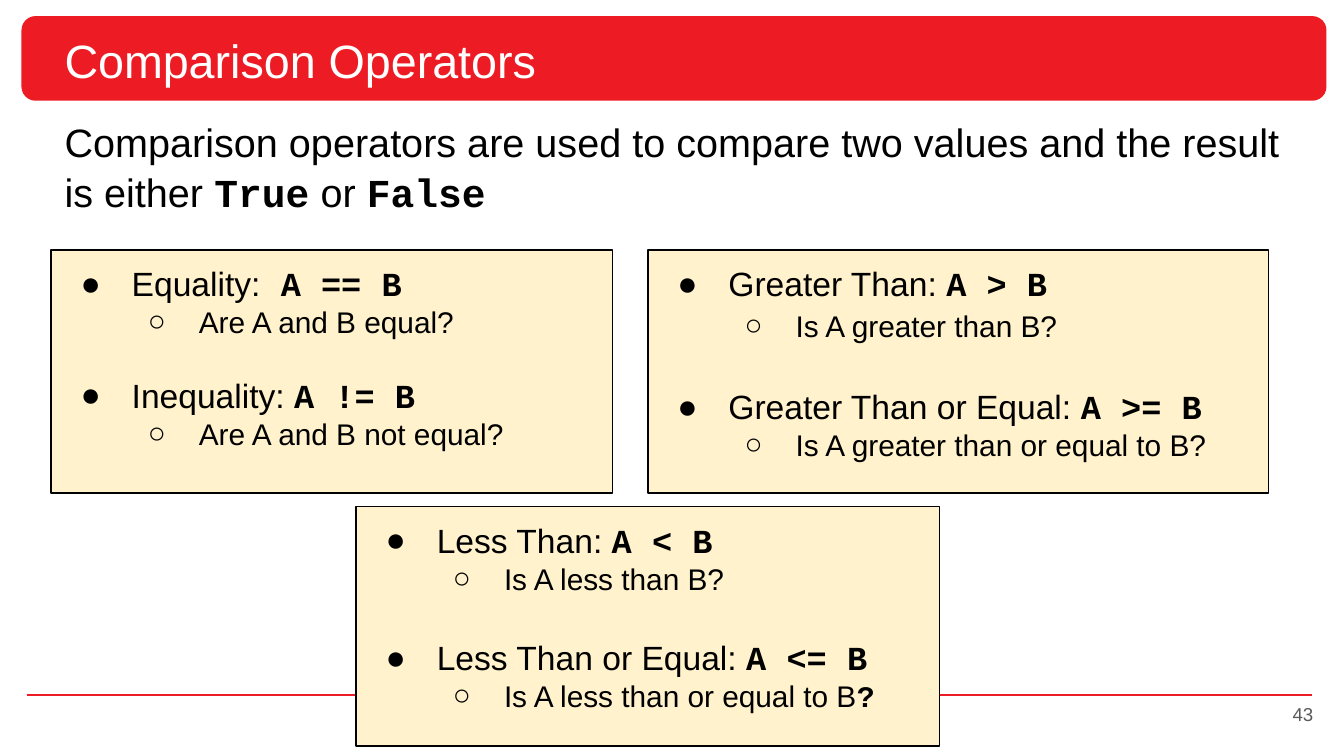
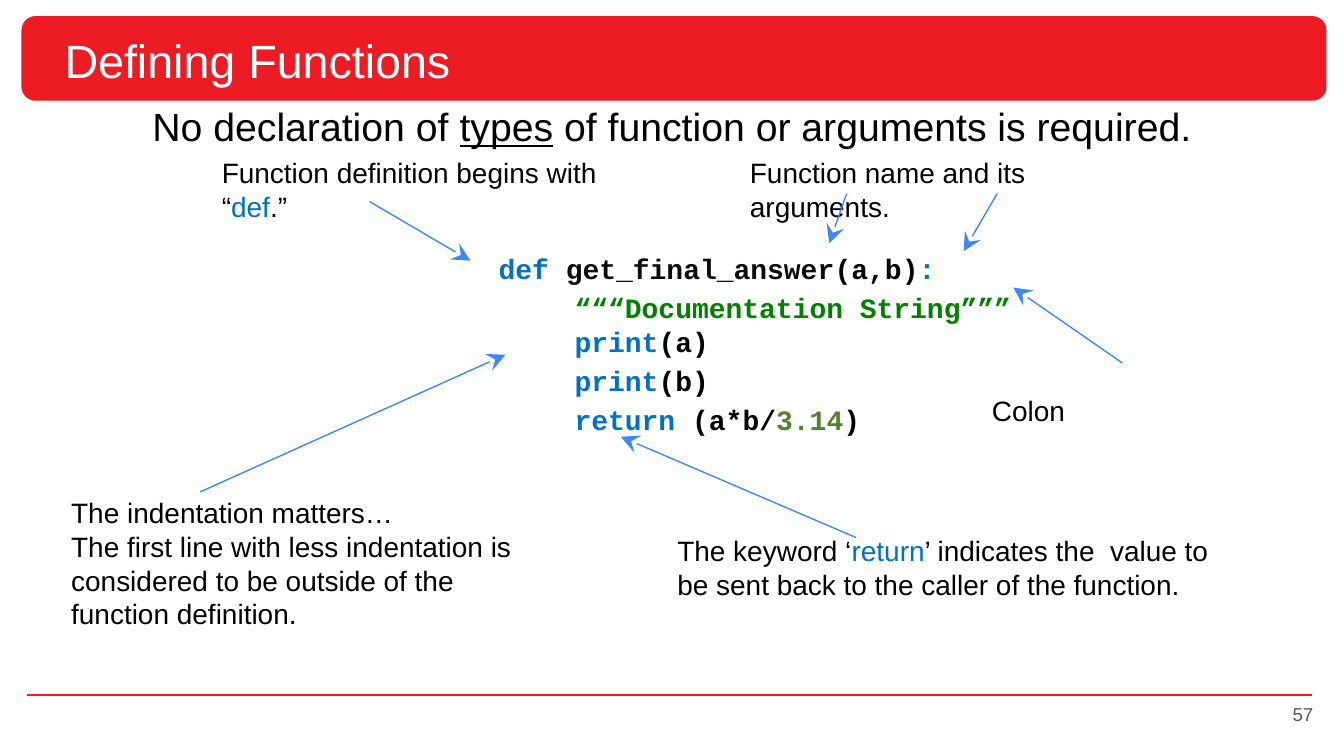
import lxml.etree
import pptx
import pptx.dml.color
import pptx.enum.shapes
import pptx.enum.text
import pptx.oxml.ns
import pptx.util

colour = pptx.dml.color.RGBColor.from_string
qualified = pptx.oxml.ns.qn
Align = pptx.enum.text.PP_ALIGN
Anchor = pptx.enum.text.MSO_ANCHOR

RED, BLACK, WHITE, GREY = "ED1C24", "000000", "FFFFFF", "595959"
CREAM, ARROW_BLUE, KEYWORD_BLUE = "FFF2CC", "4285F4", "0070C0"
CODE = {"face": "Courier New", "bold": True}
KEYWORD = {"ink": KEYWORD_BLUE}
WIDE_INSET, NARROW_INSET = (1, 1), (0.8, 0.4)

presentation = pptx.Presentation()
presentation.slide_width = pptx.util.Inches(10)
presentation.slide_height = presentation.slide_width * 9 // 16
cell = presentation.slide_width // 100


def write(shape, at, paragraphs, inset=WIDE_INSET, anchor=Anchor.TOP, **defaults):
    shape.left, shape.top, shape.width, shape.height = (round(length * cell) for length in at)
    frame = shape.text_frame
    frame.word_wrap = True
    frame.auto_size = pptx.enum.text.MSO_AUTO_SIZE.NONE
    frame.vertical_anchor = anchor
    frame.margin_left = frame.margin_right = round(inset[0] * cell)
    frame.margin_top = frame.margin_bottom = round(inset[1] * cell)
    for number, content in enumerate(paragraphs):
        style = {"size": 15, "ink": BLACK, "face": "Arial", "bold": False, **defaults, **content}
        paragraph = frame.add_paragraph() if number else frame.paragraphs[0]
        properties = paragraph._p.get_or_add_pPr()
        margin, indent = style.get("indent", (0, 0))
        properties.set("marL", str(round(margin * cell)))
        properties.set("indent", str(round(indent * cell)))
        if "bullet" in style:
            lxml.etree.SubElement(properties, qualified("a:buChar"), char=style["bullet"])
        else:
            lxml.etree.SubElement(properties, qualified("a:buNone"))
        paragraph.level = style.get("level", 0)
        paragraph.alignment = style.get("align", Align.LEFT)
        paragraph.line_spacing = style.get("line", 1.0)
        paragraph.space_before = pptx.util.Pt(style.get("before", 0))
        for text, *changes in style["runs"]:
            if text == "\n":
                paragraph.add_line_break()
                continue
            look = {**style, **(changes[0] if changes else {})}
            run = paragraph.add_run()
            run.text = text
            run.font.name = look["face"]
            run.font.size = pptx.util.Pt(look["size"])
            run.font.bold = look["bold"]
            run.font.underline = look.get("underline", False)
            run.font.color.rgb = colour(look["ink"])


def draw_line(slide, points, ink, width, arrow=False):
    connector = slide.shapes.add_connector(
        pptx.enum.shapes.MSO_CONNECTOR.STRAIGHT, *(round(length * cell) for length in points))
    connector.line.color.rgb = colour(ink)
    connector.line.width = pptx.util.Pt(width)
    if arrow:
        outline = connector.line._get_or_add_ln()
        lxml.etree.SubElement(outline, qualified("a:tailEnd"), type="stealth", w="lg", len="lg")
    lxml.etree.SubElement(connector._element.spPr, qualified("a:effectLst"))
    return connector


operators_slide = presentation.slides.add_slide(presentation.slide_layouts[4])
functions_slide = presentation.slides.add_slide(presentation.slide_layouts[1])

rule = draw_line(operators_slide, (2, 51.7, 97.6, 51.7), RED, 1)
band = operators_slide.shapes.add_shape(
    pptx.enum.shapes.MSO_SHAPE.ROUNDED_RECTANGLE,
    *(round(length * cell) for length in (1.6, 1.2, 97.1, 6.3)))
band.shadow.inherit = False
band.fill.solid()
band.fill.fore_color.rgb = colour(RED)
band.line.fill.background()
for number, shape in enumerate((band, rule)):
    shape.element.xpath(".//p:cNvPr")[0].set("id", str(100 + number))
    presentation.slide_master.shapes.element.insert(2, shape.element)

for slide, title, page in (
    (operators_slide, "Comparison Operators", "43"),
    (functions_slide, "Defining Functions", "57"),
):
    write(slide.shapes.title, (3.8, 1.3, 93.2, 6.3), [{"runs": [(title,)]}],
          anchor=Anchor.MIDDLE, size=25, ink=WHITE)
    write(slide.shapes.add_textbox(0, 0, 0, 0), (92.7, 51, 6, 4.3), [{"runs": [(page,)]}],
          anchor=Anchor.MIDDLE, size=10, ink=GREY, align=Align.RIGHT)

write(operators_slide.placeholders[1], (3.8, 7.6, 93.2, 11), [{"runs": [
    ("Comparison operators are used to compare two values and the result is either ",),
    ("True", CODE), (" or ",), ("False", CODE)]}], size=21.2, line=1.05)

operator_boxes = [
    ((3.8, 18.6, 41.8, 18.1), 1.0, 19, [
        ("Equality:", " A == B", [("Are A and B equal?",)]),
        ("Inequality: ", "A != B", [("Are A and B not equal?",)])]),
    ((48.2, 18.6, 46.2, 18.1), 1.1, 21, [
        ("Greater Than: ", "A > B", [("Is A greater than B?",)]),
        ("Greater Than or Equal: ", "A >= B", [("Is A greater than or equal to B?",)])]),
    ((26.5, 37.7, 43.4, 17.8), 1.0, 22, [
        ("Less Than: ", "A < B", [("Is A less than B?",)]),
        ("Less Than or Equal: ", "A <= B", [("Is A less than or equal to B",), ("?", CODE)])]),
]
for index, (at, middle_line, gap, operators) in enumerate(operator_boxes, start=2):
    box = operators_slide.placeholders[index]
    box.fill.solid()
    box.fill.fore_color.rgb = colour(CREAM)
    box.line.color.rgb = colour(BLACK)
    box.line.width = pptx.util.Pt(0.75)
    paragraphs = []
    for number, (name, expression, question) in enumerate(operators):
        paragraphs += [
            {"runs": [(name,), (expression, CODE)], "size": 18, "bullet": "●",
             "indent": (5, -3.8), "before": gap * number,
             "line": middle_line if number else 1.0},
            {"runs": question, "size": 16, "bullet": "○", "level": 1,
             "indent": (10, -3.8), "line": 1.0 if number else middle_line},
        ]
    write(box, at, paragraphs)

write(functions_slide.placeholders[1], (3.4, 7.6, 93.2, 39.9), [{"runs": [
    ("No declaration of ",), ("types", {"underline": True}),
    (" of function or arguments is required.",)]}],
    inset=(0.7, 0.4), size=21, align=Align.CENTER, line=0.9, indent=(1.9, -1.9))

code_lines = [
    [("def ", KEYWORD), ("get_final_answer", {"ink": "0C0C0C"}), ("(a,b)",), (":", KEYWORD)],
    [("\t   ",), ("“““Documentation String”””", {"ink": "008000"}), ("\n",),
     ("   ",), ("print", KEYWORD), ("(a)",)],
    [("\t   ",), ("print", KEYWORD), ("(b)",)],
    [("\t   ",), ("return", KEYWORD), (" (a*b/",), ("3.14", {"ink": "548135"}), (")",)],
]
write(functions_slide.shapes.add_textbox(0, 0, 0, 0), (28.8, 18.3, 53.1, 15.1),
      [{"runs": runs, "before": 3 if number else 0} for number, runs in enumerate(code_lines)],
      inset=NARROW_INSET, indent=(9.4, -1.9), **CODE)

callouts = [
    ((4.5, 36.5, 35.7, 10.8),
     [[("The indentation matters…",)],
      [("The first line with less indentation is considered to be outside "
        "of the function definition.",)]],
     [(14.9, 36.6, 37.6, 26.4)]),
    ((15.7, 11.2, 33.1, 3.3),
     [[("Function definition begins with “",), ("def", KEYWORD), (".”",)]],
     [(27.5, 15, 35, 19.4)]),
    ((55, 11.2, 30.4, 3.3),
     [[("Function name and its arguments.",)]],
     [(63, 14.4, 61.7, 18.1), (74.2, 14.4, 71.7, 18.7)]),
    ((49.6, 39.3, 42.4, 5.8),
     [[("The keyword ‘",), ("return", KEYWORD),
       ("’ indicates the  value to be sent back to the caller of the function.",)]],
     [(63.7, 40, 46.2, 32.5)]),
    ((73, 28.9, 13.9, 3.3), [[("Colon",)]], [(83.5, 27, 75.4, 21.4)]),
]
for at, texts, arrows in callouts:
    write(functions_slide.shapes.add_textbox(0, 0, 0, 0), at,
          [{"runs": runs} for runs in texts], inset=NARROW_INSET)
    for points in arrows:
        draw_line(functions_slide, points, ARROW_BLUE, 0.75, arrow=True)

presentation.save("out.pptx")
